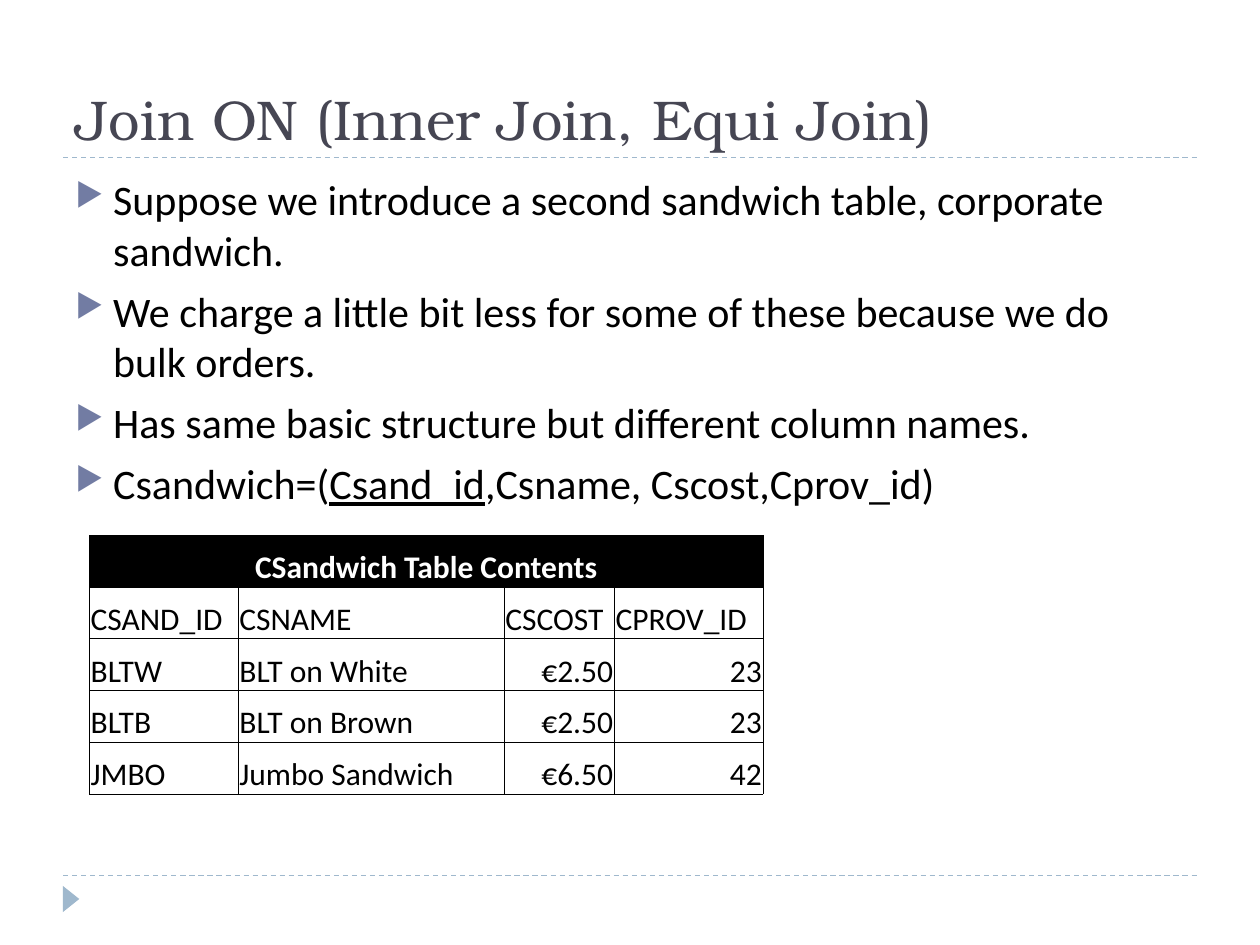
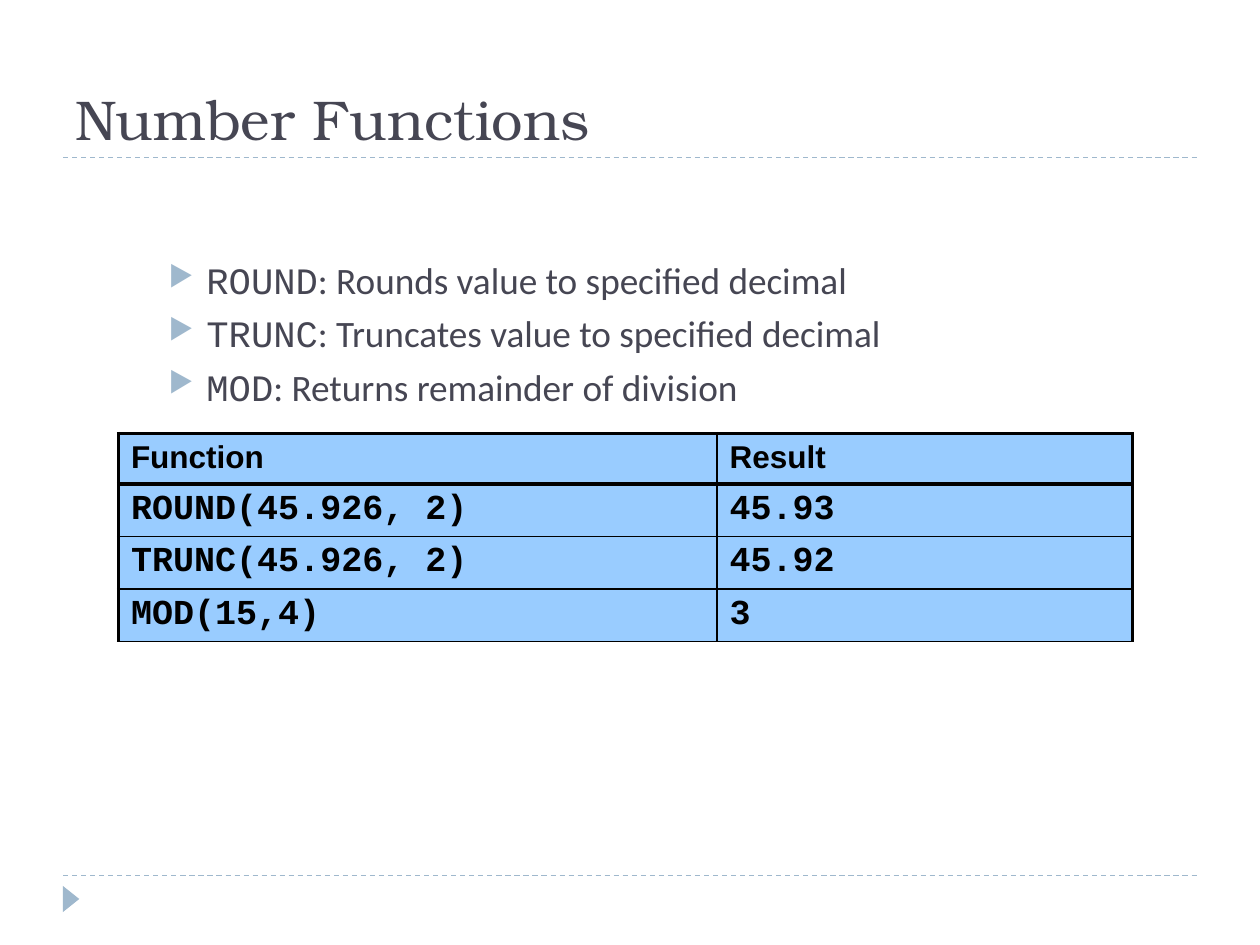
from dataclasses import dataclass

from lxml.etree import SubElement
from pptx import Presentation
from pptx.dml.color import RGBColor
from pptx.enum.dml import MSO_LINE_DASH_STYLE as Dash
from pptx.enum.shapes import MSO_CONNECTOR as Connector, MSO_SHAPE as Shape
from pptx.enum.text import MSO_ANCHOR as Anchor, PP_ALIGN as Align
from pptx.oxml.ns import qn
from pptx.util import Pt


@dataclass(frozen=True)
class Theme:
    ink: str = "000000"
    paper: str = "FFFFFF"
    slate: str = "464653"
    indigo: str = "727CA3"
    mist: str = "9FB8CD"
    sky: str = "99CCFF"
    heading_font: str = "TeX Gyre Bonum"
    body_font: str = "Calibri"
    code_font: str = "Courier New"
    label_font: str = "Arial"
    title_size: float = 32
    body_size: float = 24
    sub_size: float = 21.3
    code_size: float = 20
    cell_size: float = 18
    hairline: float = 0.5
    thin: float = 1
    heavy: float = 2.25


THEME = Theme()


def style(font, name, size, color, bold=False):
    font.name, font.size, font.bold = name, Pt(size), bold
    font.color.rgb = RGBColor.from_string(color)


class Deck:
    """Holds the theme, the presentation and the current slide."""

    def __init__(self, theme):
        self.theme = theme
        self.presentation = Presentation()
        self.presentation.slide_width = Pt(720)
        self.presentation.slide_height = Pt(540)
        self.slide = None

    def new_slide(self, title):
        theme = self.theme
        blank = self.presentation.slide_layouts[6]
        self.slide = self.presentation.slides.add_slide(blank)
        for y in (500.4, 90):
            self.dashed_rule(y)
        self.page_marker()
        heading = self.text_box(36, 12.2, 648, 77.8, Anchor.BOTTOM).paragraphs[0]
        heading.text = title
        style(heading.font, theme.heading_font, theme.title_size, theme.slate)

    def dashed_rule(self, y):
        rule = self.slide.shapes.add_connector(
            Connector.STRAIGHT, Pt(36), Pt(y), Pt(684), Pt(y))
        rule.line.color.rgb = RGBColor.from_string(self.theme.mist)
        rule.line.width = Pt(0.75)
        rule.line.dash_style = Dash.DASH
        SubElement(rule._element.spPr, qn("a:effectLst"))

    def page_marker(self):
        marker = self.slide.shapes.add_shape(
            Shape.ISOSCELES_TRIANGLE, Pt(33.1), Pt(509), Pt(15), Pt(9.4))
        marker.rotation = 90
        marker.shadow.inherit = False
        marker.fill.solid()
        marker.fill.fore_color.rgb = RGBColor.from_string(self.theme.mist)
        marker.line.fill.background()

    def text_box(self, left, top, width, height, anchor=Anchor.TOP):
        box = self.slide.shapes.add_textbox(Pt(left), Pt(top), Pt(width), Pt(height))
        box.text_frame.word_wrap = True
        box.text_frame.vertical_anchor = anchor
        return box.text_frame

    def bullets(self, area, items, size, color, bullet_color, indent, space):
        """Each item is a list of (text, font overrides) runs."""
        frame = self.text_box(*area)
        for index, item in enumerate(items):
            paragraph = frame.add_paragraph() if index else frame.paragraphs[0]
            paragraph.space_before = Pt(space)
            style(paragraph.font, self.theme.body_font, size, color)
            for text, overrides in item:
                run = paragraph.add_run()
                run.text = text
                for attribute, value in overrides.items():
                    setattr(run.font, attribute, value)
            self.bullet_mark(paragraph, bullet_color, indent)

    def bullet_mark(self, paragraph, color, indent):
        props = paragraph._p.get_or_add_pPr()
        props.set("marL", str(Pt(indent)))
        props.set("indent", str(Pt(-21.6)))
        mark_color = SubElement(props, qn("a:buClr"))
        SubElement(mark_color, qn("a:srgbClr"), val=color)
        SubElement(props, qn("a:buSzPct"), val="76000")
        SubElement(props, qn("a:buChar"), char="▶")

    def table(self, left, top, widths, heights):
        frame = self.slide.shapes.add_table(
            len(heights), len(widths), Pt(left), Pt(top),
            Pt(sum(widths)), Pt(sum(heights)))
        table = frame.table
        table.first_row = table.horz_banding = False
        for column, width in zip(table.columns, widths):
            column.width = Pt(width)
        for row, height in zip(table.rows, heights):
            row.height = Pt(height)
        return table

    def cell(self, cell, text, font, size, color, borders, fill=None, bold=False):
        """Borders are the left, right, top and bottom widths."""
        props = cell._tc.get_or_add_tcPr()
        for side, width in zip("LRTB", borders):
            edge = SubElement(props, qn(f"a:ln{side}"), w=str(Pt(width)))
            solid = SubElement(edge, qn("a:solidFill"))
            SubElement(solid, qn("a:srgbClr"), val=self.theme.ink)
        if fill:
            cell.fill.solid()
            cell.fill.fore_color.rgb = RGBColor.from_string(fill)
        else:
            cell.fill.background()
        paragraph = cell.text_frame.paragraphs[0]
        paragraph.text = text
        style(paragraph.font, font, size, color, bold)
        return paragraph


def join_slide(deck):
    theme = deck.theme
    deck.new_slide("Join ON (Inner Join, Equi Join)")

    # Explanation
    points = [
        [("Suppose we introduce a second sandwich table, corporate sandwich.", {})],
        [("We charge a little bit less for some of these because we do bulk orders.", {})],
        [("Has same basic structure but different column names.", {})],
        [("Csandwich=(", {}), ("Csand_id", {"underline": True}),
         (",Csname, Cscost,Cprov_id)", {})],
    ]
    deck.bullets((36, 95.8, 648, 388.8), points, theme.body_size, theme.ink,
                 theme.indigo, indent=21.6, space=6)

    # Sandwich table: a merged caption, the column names, then the data
    contents = [
        ("CSandwich Table Contents", "", "", ""),
        ("CSAND_ID", "CSNAME", "CSCOST", "CPROV_ID"),
        ("BLTW", "BLT on White", "€2.50", "23"),
        ("BLTB", "BLT on Brown", "€2.50", "23"),
        ("JMBO", "Jumbo Sandwich", "€6.50", "42"),
    ]
    sandwiches = deck.table(51.1, 306, (85, 152, 63, 85), [29.55] * len(contents))
    sandwiches.cell(0, 0).merge(sandwiches.cell(0, 3))
    for r, values in enumerate(contents):
        caption = r == 0
        for c, value in enumerate(values):
            cell = sandwiches.cell(r, c)
            cell.margin_left = cell.margin_right = cell.margin_top = Pt(0.72)
            cell.margin_bottom = Pt(0)
            cell.vertical_anchor = Anchor.BOTTOM
            paragraph = deck.cell(
                cell, value, theme.body_font, theme.cell_size,
                theme.paper if caption else theme.ink, [theme.hairline] * 4,
                fill=theme.ink if caption else None, bold=caption)
            if caption:
                paragraph.alignment = Align.CENTER
            elif r > 1 and c > 1:
                paragraph.alignment = Align.RIGHT


def number_slide(deck):
    theme = deck.theme
    deck.new_slide("Number Functions")

    # Definitions
    definitions = {
        "ROUND": "Rounds value to specified decimal",
        "TRUNC": "Truncates value to specified decimal",
        "MOD": "Returns remainder of division",
    }
    items = [[(function, {"name": theme.code_font}), (f": {meaning}", {})]
             for function, meaning in definitions.items()]
    deck.bullets((67.7, 143.3, 580.3, 91.4), items, theme.sub_size, theme.slate,
                 theme.mist, indent=43.2, space=5)

    # Examples: heavy frame and header, thin lines inside and below
    examples = [
        ("Function", "Result"),
        ("ROUND(45.926, 2)", "45.93"),
        ("TRUNC(45.926, 2)", "45.92"),
        ("MOD(15,4)", "3"),
    ]
    results = deck.table(67.7, 247.7, (342, 237.6), (27.4, 30, 30, 30))
    for r, values in enumerate(examples):
        header = r == 0
        for c, value in enumerate(values):
            heavy_sides = (c == 0, c == 1, r < 2, header)
            borders = [theme.heavy if side else theme.thin for side in heavy_sides]
            paragraph = deck.cell(
                results.cell(r, c), value,
                theme.label_font if header else theme.code_font,
                theme.cell_size if header else theme.code_size,
                theme.ink, borders, fill=theme.sky, bold=True)
            if not header:
                paragraph.line_spacing = 0.95
                paragraph.space_before = Pt(1.5)


def main():
    deck = Deck(THEME)
    join_slide(deck)
    number_slide(deck)
    deck.presentation.save("out.pptx")


if __name__ == "__main__":
    main()
